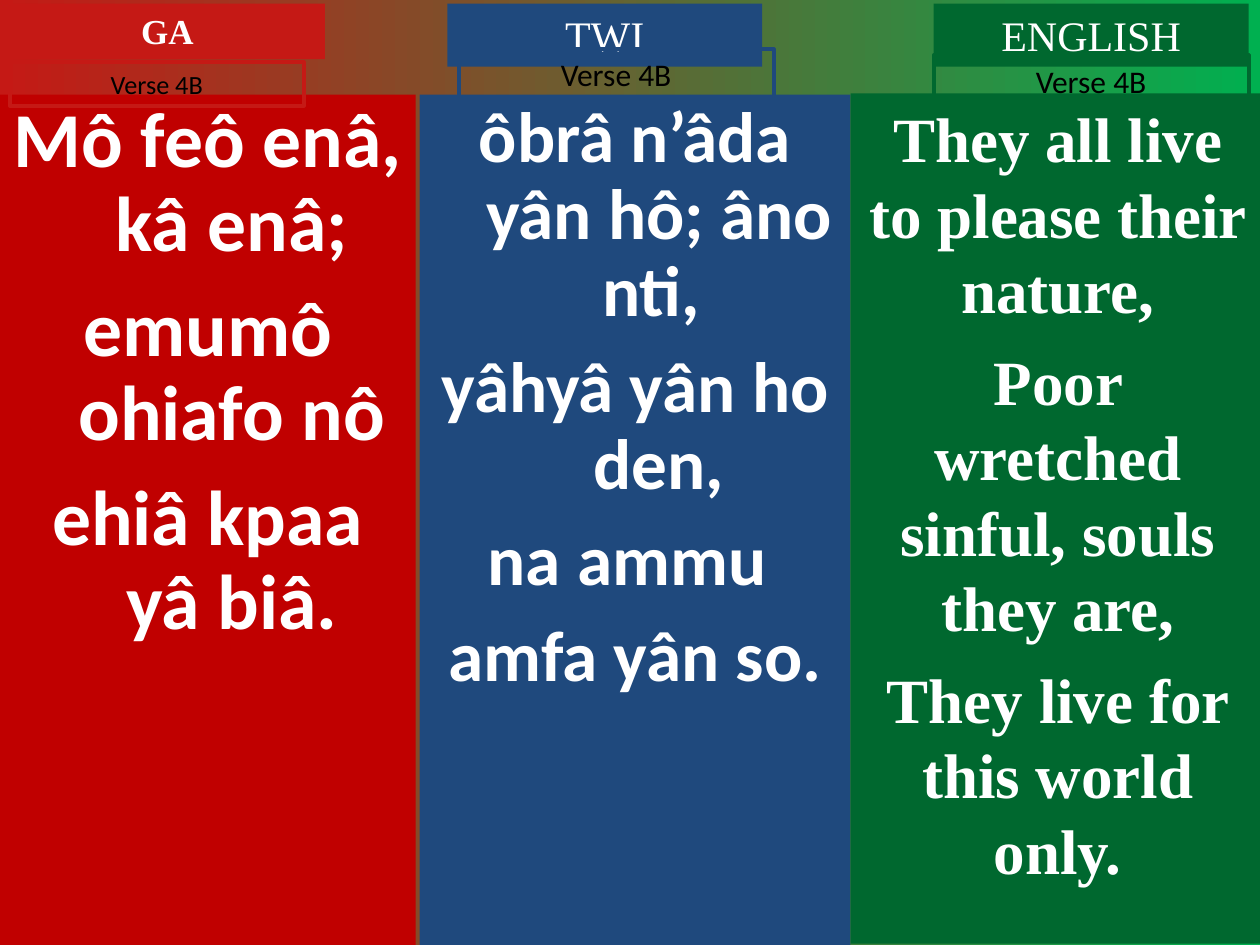
from dataclasses import dataclass

from pptx import Presentation
from pptx import util as u
from pptx.dml.color import RGBColor
from pptx.enum import shapes, text


@dataclass(frozen=True)
class Theme:
    ga: str = "C00000"
    ga_label: str = "C51915"
    twi: str = "1F497D"
    english: str = "00682F"
    back_end: str = "00B050"
    white: str = "FFFFFF"
    black: str = "000000"
    sans: str = "Calibri"
    serif: str = "Times New Roman"
    ga_size: float = 44.4
    twi_size: float = 40.7
    english_size: float = 36
    title_size: float = 24
    ga_title_size: float = 20
    verse_size: float = 18
    ga_verse_size: float = 15


THEME = Theme()


def rgb(value):
    return RGBColor.from_string(value)


def write(tf, lines, font, size, color=THEME.white, bold=False,
          spacing=None, before=0, hanging=0):
    """Fill a text frame with centred paragraphs, one per line."""
    for i, line in enumerate(lines):
        p = tf.paragraphs[0] if i == 0 else tf.add_paragraph()
        p.alignment = text.PP_ALIGN.CENTER
        if spacing:
            p.line_spacing = spacing
        if i and before:
            p.space_before = u.Pt(before)
        if hanging:
            pPr = p._p.get_or_add_pPr()
            pPr.set("marL", str(u.Inches(hanging)))
            pPr.set("indent", str(-u.Inches(hanging)))
        r = p.add_run()
        r.text = line
        r.font.name = font
        r.font.size = u.Pt(size)
        r.font.bold = bold
        r.font.color.rgb = rgb(color)


class HymnSlide:
    def __init__(self, prs, theme):
        self.theme = theme
        self.slide = prs.slides.add_slide(prs.slide_layouts[6])

    def background(self):
        fill = self.slide.background.fill
        fill.gradient()
        fill.gradient_angle = 0
        for stop, color in zip(fill.gradient_stops,
                               (self.theme.ga_label, self.theme.back_end)):
            stop.color.rgb = rgb(color)

    def box(self, at, fill=None, line=None, grow=False):
        """Add a rectangle and return its text frame."""
        sp = self.slide.shapes.add_shape(
            shapes.MSO_SHAPE.RECTANGLE, *(u.Inches(v) for v in at))
        sp.shadow.inherit = False
        if fill:
            sp.fill.solid()
            sp.fill.fore_color.rgb = rgb(fill)
        else:
            sp.fill.background()
        if line:
            sp.line.color.rgb = rgb(line)
            sp.line.width = u.Pt(2.25)
        else:
            sp.line.fill.background()
        tf = sp.text_frame
        tf.word_wrap = True
        tf.vertical_anchor = text.MSO_ANCHOR.TOP
        if grow:
            tf.auto_size = text.MSO_AUTO_SIZE.SHAPE_TO_FIT_TEXT
        return tf

    def lyrics(self, at, fill, lines, size, before):
        """Add a panel of sans lyrics with hanging lines."""
        write(self.box(at, fill=fill), lines, self.theme.sans, size, bold=True,
              spacing=0.9, before=before, hanging=0.38)

    def serif_lyrics(self, at, fill, lines, size, before):
        write(self.box(at, fill=fill), lines, self.theme.serif, size, bold=True,
              spacing=u.Pt(1.2 * size), before=before)

    def title(self, at, fill, label, size, bold=False):
        write(self.box(at, fill=fill, grow=True), [label], self.theme.serif,
              size, bold=bold, spacing=u.Pt(1.2 * size))

    def verse(self, at, line, size):
        write(self.box(at, line=line, grow=True), ["Verse 4B"],
              self.theme.sans, size, color=self.theme.black)


def main():
    prs = Presentation()
    prs.slide_width, prs.slide_height = u.Inches(10), u.Inches(7.5)
    t = THEME
    s = HymnSlide(prs, t)
    s.background()

    s.lyrics((0, 0.75, 3.3, 6.75), t.ga,
             ["Mô feô enâ, kâ enâ;", "emumô ohiafo nô", "ehiâ kpaa yâ biâ."],
             t.ga_size, before=12)
    s.lyrics((3.33, 0.75, 3.42, 6.75), t.twi,
             ["ôbrâ n’âda yân hô; âno nti, ", "yâhyâ yân ho den,",
              "na ammu ", "amfa yân so."],
             t.twi_size, before=11)
    s.serif_lyrics((6.75, 0.74, 3.29, 6.75), t.english,
                   ["They all live to please their nature,",
                    "Poor wretched sinful, souls they are,",
                    "They live for this world only."],
                   t.english_size, before=9)

    s.title((0.08, 0.03, 2.5, 0.44), t.ga_label, "GA", t.ga_title_size, bold=True)
    s.title((3.55, 0.03, 2.5, 0.5), t.twi, "TWI", t.title_size)
    s.title((7.41, 0.03, 2.5, 0.5), t.english, "ENGLISH", t.title_size)

    s.verse((0.08, 0.49, 2.33, 0.35), t.ga_label, t.ga_verse_size)
    s.verse((3.64, 0.39, 2.5, 0.4), t.twi, t.verse_size)
    s.verse((7.41, 0.44, 2.5, 0.4), t.english, t.verse_size)

    prs.save("out.pptx")


if __name__ == "__main__":
    main()
